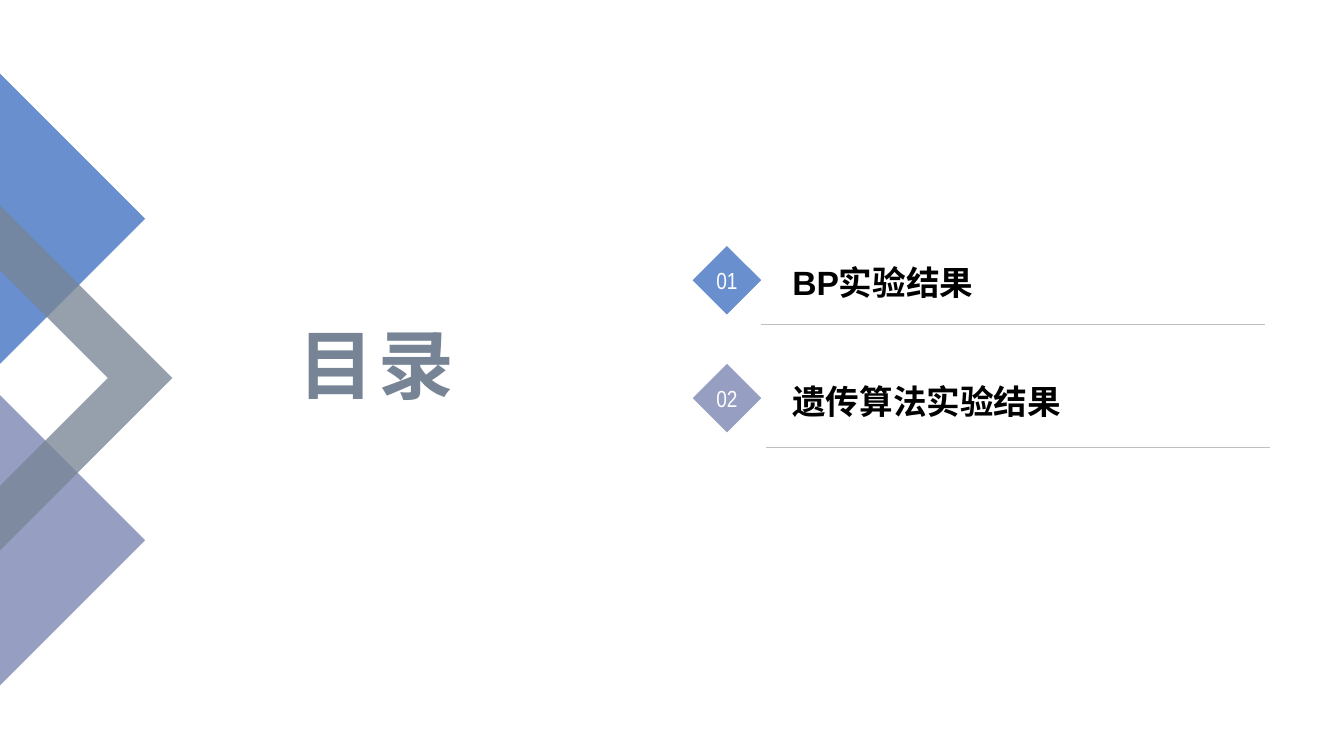
from lxml import etree
from pptx import Presentation
from pptx.dml.color import RGBColor
from pptx.enum import shapes, text
from pptx.oxml.ns import qn
from pptx.util import Inches, Pt

BLUE, LAVENDER, SLATE = "698FCE", "969EC2", "778495"
BLACK, WHITE, RULE_GRAY = "000000", "FFFFFF", "BFBFBF"


def set_color(color_format, value):
    color_format.rgb = RGBColor.from_string(value)


def style_solid(shape, color, opacity=100):
    shape.shadow.inherit = False
    shape.fill.solid()
    set_color(shape.fill.fore_color, color)
    shape.line.fill.background()
    if opacity < 100:
        srgb = shape._element.spPr.find(qn("a:solidFill")).find(qn("a:srgbClr"))
        etree.SubElement(srgb, qn("a:alpha")).set("val", str(opacity * 1000))


def add_polygon(slide, points, color, opacity=100):
    corners = [(Inches(x), Inches(y)) for x, y in points]
    builder = slide.shapes.build_freeform(*corners[0])
    builder.add_line_segments(corners[1:], close=True)
    style_solid(builder.convert_to_shape(), color, opacity)


def write_text(shape, content, size, font, color, bold=False,
               align=text.PP_ALIGN.LEFT, anchor=text.MSO_ANCHOR.MIDDLE, wrap=True):
    frame = shape.text_frame
    frame.auto_size = text.MSO_AUTO_SIZE.NONE
    frame.word_wrap = wrap
    frame.vertical_anchor = anchor
    paragraph = frame.paragraphs[0]
    paragraph.alignment = align
    run = paragraph.add_run()
    run.text = content
    run.font.size = Pt(size)
    run.font.name = font
    run.font.bold = bold
    set_color(run.font.color, color)
    return run


def add_title(slide, content):
    title = slide.shapes.title
    title.left, title.top = Inches(1.69), Inches(3.1)
    title.width, title.height = Inches(4.09), Inches(1.01)
    run = write_text(title, content, 54, "Arial", SLATE, bold=True,
                     align=text.PP_ALIGN.CENTER)
    run.font._element.set("spc", "300")


def add_number_diamond(slide, number, top, color):
    diamond = slide.shapes.add_shape(
        shapes.MSO_SHAPE.DIAMOND, Inches(6.87), Inches(top), Inches(0.68), Inches(0.68))
    style_solid(diamond, color)
    write_text(diamond, number, 16.6, "Arial Narrow", WHITE,
               align=text.PP_ALIGN.CENTER, wrap=False)


def add_heading(slide, content, bottom):
    height = 0.6
    box = slide.shapes.add_textbox(
        Inches(7.76), Inches(bottom - height), Inches(4.33), Inches(height))
    write_text(box, content, 24, "Arial", BLACK, bold=True, anchor=text.MSO_ANCHOR.BOTTOM)


def add_rule(slide, left, y):
    rule = slide.shapes.add_connector(
        shapes.MSO_CONNECTOR.STRAIGHT, Inches(left), Inches(y), Inches(left + 5), Inches(y))
    set_color(rule.line.color, RULE_GRAY)
    rule.line.width = Pt(0.25)
    etree.SubElement(rule._element.spPr, qn("a:effectLst"))


def main():
    presentation = Presentation()
    presentation.slide_width, presentation.slide_height = Inches(13.33), Inches(7.5)
    slide = presentation.slides.add_slide(presentation.slide_layouts[5])

    add_polygon(slide, [(0, 3.92), (1.44, 5.36), (0, 6.8)], LAVENDER)
    add_polygon(slide, [(0, 0.73), (1.44, 2.17), (0, 3.61)], BLUE)
    add_polygon(slide, [(0, 2.04), (1.71, 3.75), (0, 5.46),
                        (0, 4.82), (1.07, 3.75), (0, 2.68)], SLATE, opacity=77)
    add_title(slide, "目录")

    entries = [
        ("01", "BP实验结果", BLUE, 2.44, 3.05, 7.55, 3.22),
        ("02", "遗传算法实验结果", LAVENDER, 3.61, 4.23, 7.6, 4.44),
    ]
    for number, heading, color, top, heading_bottom, rule_left, rule_y in entries:
        add_number_diamond(slide, number, top, color)
        add_heading(slide, heading, heading_bottom)
        add_rule(slide, rule_left, rule_y)

    presentation.save("out.pptx")


if __name__ == "__main__":
    main()
